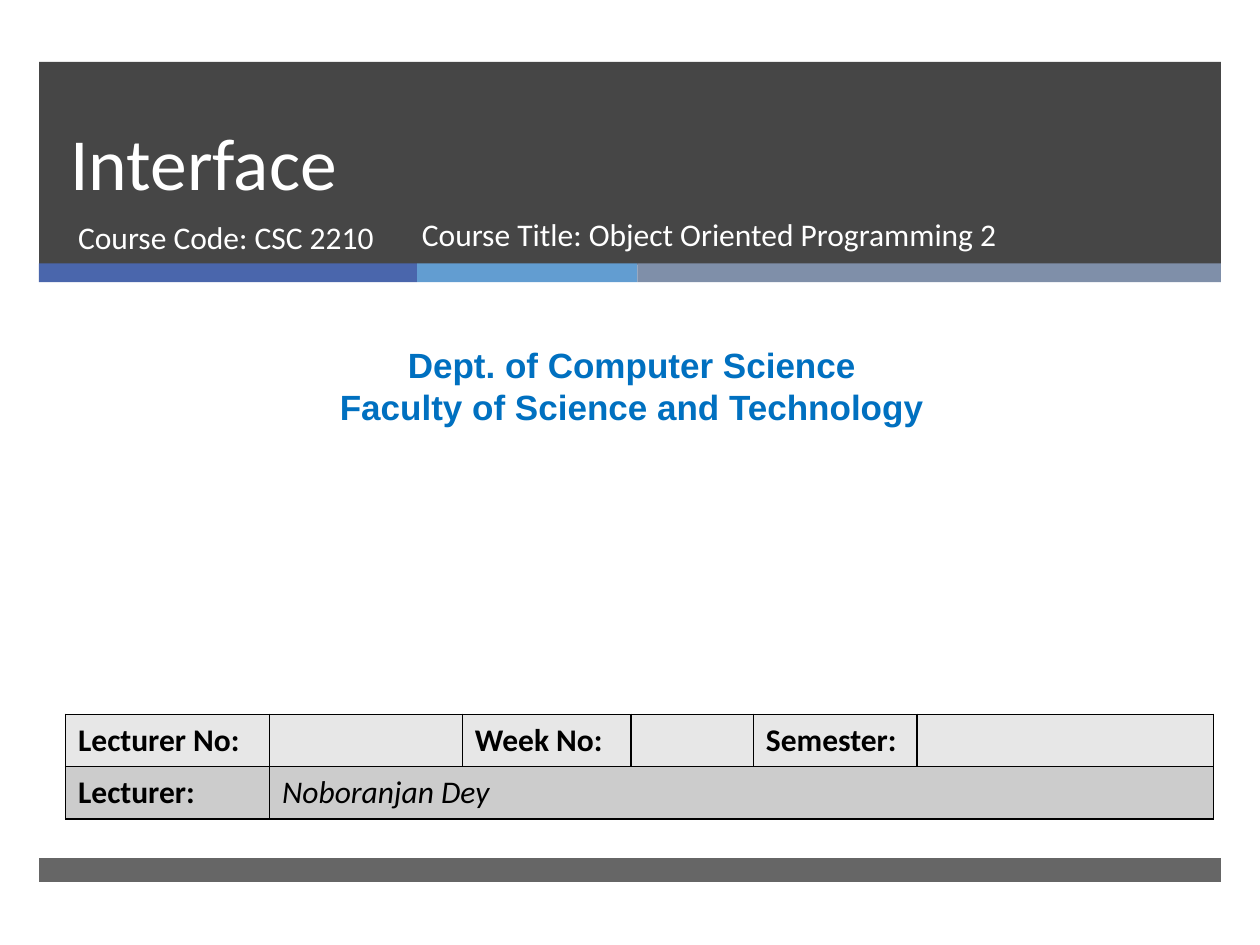
from dataclasses import dataclass

from lxml import etree
from pptx import Presentation
from pptx.dml.color import RGBColor
from pptx.enum.shapes import MSO_SHAPE
from pptx.enum.text import MSO_ANCHOR, PP_ALIGN
from pptx.oxml.ns import qn
from pptx.util import Inches, Pt

RECTANGLE = MSO_SHAPE.RECTANGLE
TOP, MIDDLE, BOTTOM = MSO_ANCHOR.TOP, MSO_ANCHOR.MIDDLE, MSO_ANCHOR.BOTTOM
LEFT, CENTER = PP_ALIGN.LEFT, PP_ALIGN.CENTER

WHITE = RGBColor(0xFF, 0xFF, 0xFF)
BLACK = RGBColor(0x00, 0x00, 0x00)
CHARCOAL = RGBColor(0x26, 0x26, 0x26)
INDIGO = RGBColor(0x4A, 0x66, 0xAC)
SKY = RGBColor(0x62, 0x9D, 0xD1)
SLATE = RGBColor(0x7F, 0x8F, 0xA9)
DEPARTMENT_BLUE = RGBColor(0x00, 0x70, 0xC0)
LIGHT_GRAY = RGBColor(0xE7, 0xE7, 0xE7)
MID_GRAY = RGBColor(0xCC, 0xCC, 0xCC)


@dataclass
class Band:
    left: float
    top: float
    width: float
    height: float
    color: RGBColor
    opacity: int = 100


@dataclass
class TextStyle:
    size: int
    color: RGBColor
    font: str = "Calibri"
    bold: bool = False
    italic: bool = False
    align: PP_ALIGN = LEFT


BANDS = [
    Band(0.31, 0.49, 9.38, 1.61, CHARCOAL, 85),
    Band(0.31, 2.09, 3, 0.15, INDIGO),
    Band(3.31, 2.09, 1.75, 0.15, SKY),
    Band(5.06, 2.09, 4.63, 0.15, SLATE),
    Band(0.31, 6.81, 9.38, 0.19, CHARCOAL, 70),
]
HEADING = TextStyle(42, WHITE)
COURSE = TextStyle(18, WHITE)
DEPARTMENT = TextStyle(20, DEPARTMENT_BLUE, "Arial", bold=True, align=CENTER)
LABEL = TextStyle(18, BLACK, bold=True)
NAME = TextStyle(18, BLACK, italic=True)

COLUMN_WIDTHS = [1.62, 1.53, 1.34, 0.97, 1.3, 2.35]
ROW_HEIGHT = 0.415
LECTURE_ROWS = [
    (["Lecturer No:", "", "Week No:", "", "Semester:", ""], LIGHT_GRAY),
    (["Lecturer:", "Noboranjan Dey", "", "", "", ""], MID_GRAY),
]


def draw_band(slide, band: Band) -> None:
    bar = slide.shapes.add_shape(
        RECTANGLE, Inches(band.left), Inches(band.top), Inches(band.width), Inches(band.height)
    )
    bar.shadow.inherit = False
    bar.fill.solid()
    bar.fill.fore_color.rgb = band.color
    bar.line.fill.background()
    if band.opacity < 100:
        color = bar.element.spPr.find(qn("a:solidFill"))[0]
        etree.SubElement(color, qn("a:alpha"), val=str(band.opacity * 1000))


def write_text(frame, lines: list[str], style: TextStyle) -> None:
    frame.text = "\n".join(lines)
    for paragraph in frame.paragraphs:
        paragraph.alignment = style.align
        paragraph.space_before = Pt(0)
        font = paragraph.font
        font.name, font.size = style.font, Pt(style.size)
        font.bold, font.italic = style.bold, style.italic
        font.color.rgb = style.color


def place_text(shape, left: float, top: float, width: float, height: float,
               lines: list[str], style: TextStyle, anchor: MSO_ANCHOR = TOP) -> None:
    shape.left, shape.top = Inches(left), Inches(top)
    shape.width, shape.height = Inches(width), Inches(height)
    shape.text_frame.word_wrap = True
    shape.text_frame.vertical_anchor = anchor
    write_text(shape.text_frame, lines, style)


def add_text(slide, left: float, top: float, width: float, height: float,
             lines: list[str], style: TextStyle) -> None:
    box = slide.shapes.add_textbox(0, 0, 0, 0)
    place_text(box, left, top, width, height, lines, style)


def outline_cell(cell) -> None:
    properties = cell._tc.get_or_add_tcPr()
    for position, side in enumerate(("a:lnL", "a:lnR", "a:lnT", "a:lnB")):
        border = etree.Element(qn(side), w=str(Pt(1)))
        fill = etree.SubElement(border, qn("a:solidFill"))
        etree.SubElement(fill, qn("a:srgbClr"), val=str(BLACK))
        properties.insert(position, border)


def draw_lecture_table(slide) -> None:
    table = slide.shapes.add_table(
        len(LECTURE_ROWS), len(COLUMN_WIDTHS), Inches(0.52), Inches(5.67),
        Inches(sum(COLUMN_WIDTHS)), Inches(ROW_HEIGHT * len(LECTURE_ROWS)),
    ).table
    for column, width in zip(table.columns, COLUMN_WIDTHS):
        column.width = Inches(width)
    for row, (texts, color) in enumerate(LECTURE_ROWS):
        table.rows[row].height = Inches(ROW_HEIGHT)
        for column, text in enumerate(texts):
            cell = table.cell(row, column)
            cell.fill.solid()
            cell.fill.fore_color.rgb = color
            cell.vertical_anchor = MIDDLE
            outline_cell(cell)
            write_text(cell.text_frame, [text], NAME if column % 2 else LABEL)
    table.cell(1, 1).merge(table.cell(1, len(COLUMN_WIDTHS) - 1))


def main() -> None:
    deck = Presentation()
    deck.slide_width, deck.slide_height = Inches(10), Inches(7.5)
    slide = deck.slides.add_slide(deck.slide_layouts[0])
    title, course_code = slide.placeholders
    for band in BANDS:
        draw_band(slide, band)
    for placeholder in (title, course_code):
        placeholder.element.getparent().append(placeholder.element)

    place_text(title, 0.46, 0.49, 8.54, 1.19, ["Interface"], HEADING, BOTTOM)
    title.text_frame.paragraphs[0].line_spacing = Pt(46)
    place_text(course_code, 0.52, 1.68, 3.05, 0.53, ["Course Code: CSC 2210"], COURSE)
    add_text(slide, 0.08, 2.68, 9.87, 0.77,
             ["Dept. of Computer Science", "Faculty of Science and Technology"], DEPARTMENT)
    draw_lecture_table(slide)
    add_text(slide, 3.25, 1.66, 5.11, 0.53,
             ["Course Title: Object Oriented Programming 2"], COURSE)
    deck.save("out.pptx")


if __name__ == "__main__":
    main()
